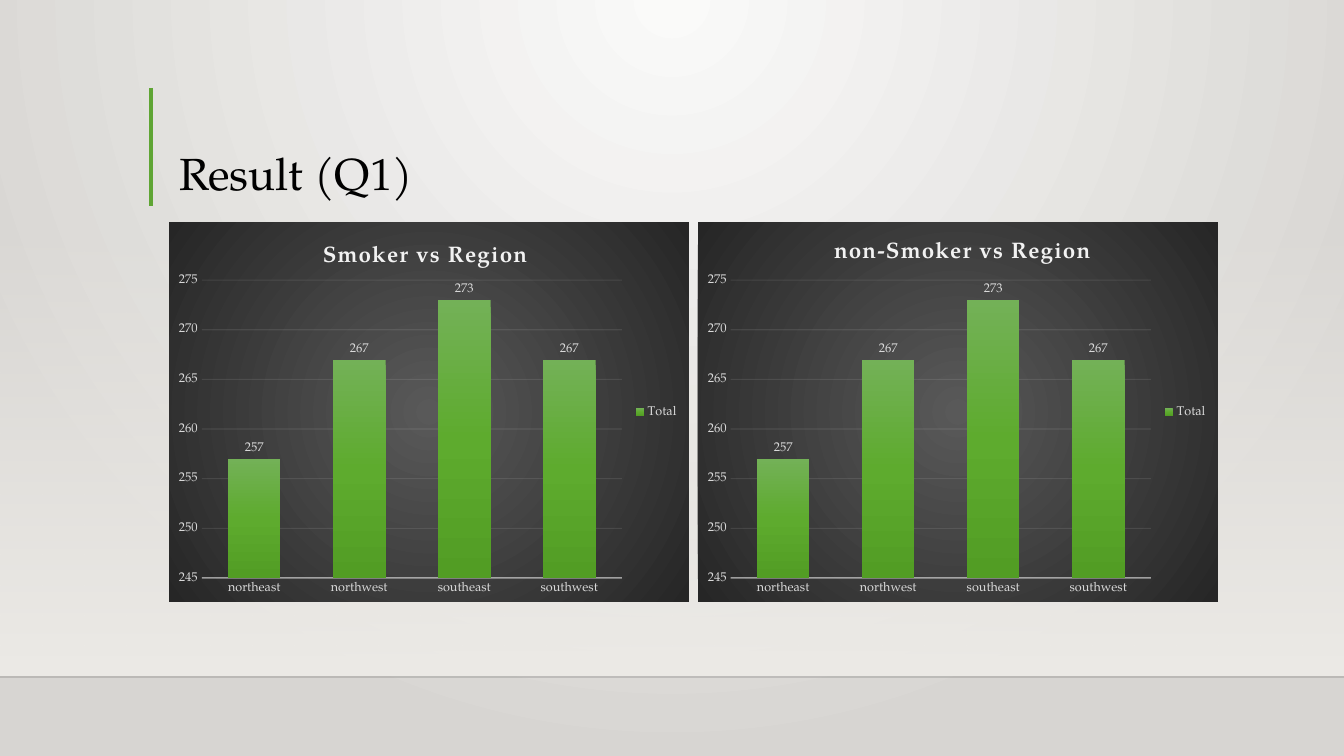
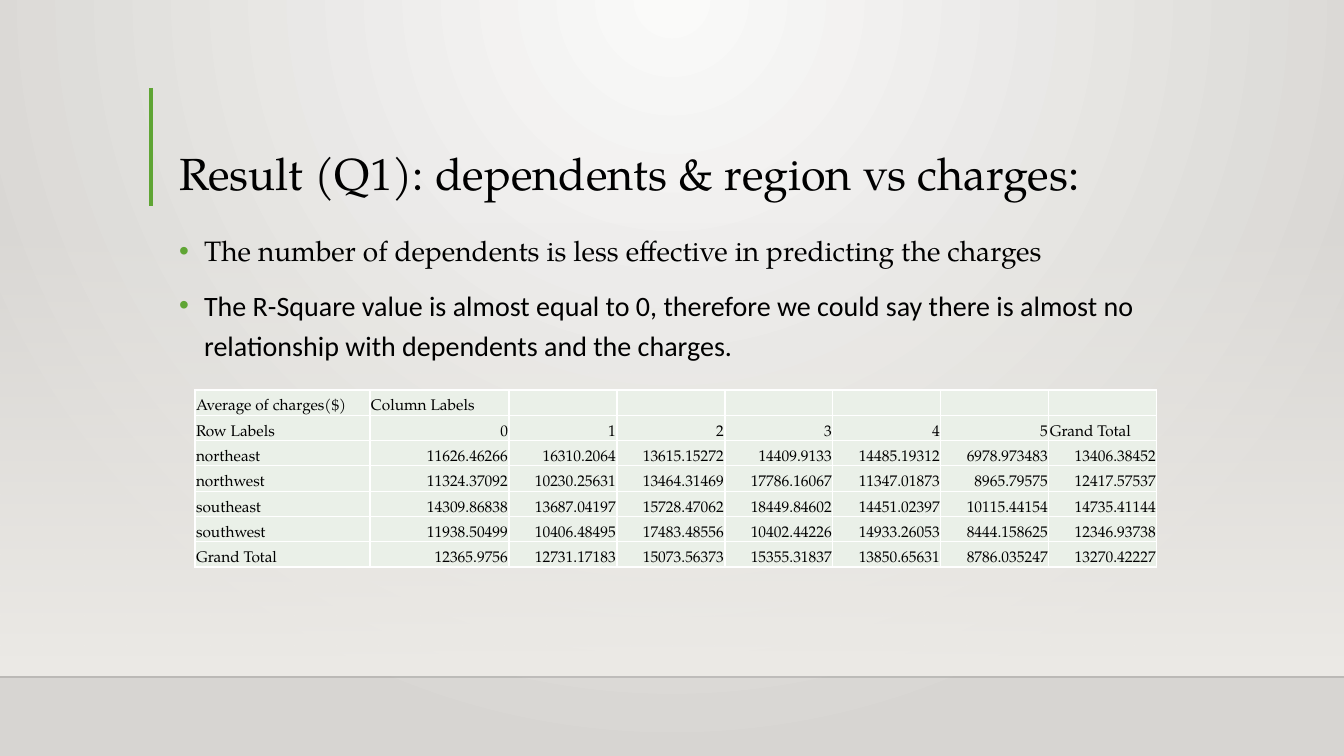
from dataclasses import dataclass
from typing import Any, NamedTuple

from lxml.etree import SubElement
from pptx import Presentation
from pptx.chart.data import CategoryChartData
from pptx.dml.color import RGBColor as Rgb
from pptx.enum.chart import XL_CHART_TYPE as ChartType
from pptx.enum.chart import XL_LABEL_POSITION as LabelPos
from pptx.enum.chart import XL_LEGEND_POSITION as LegendPos
from pptx.enum.chart import XL_TICK_MARK as TickMark
from pptx.enum.shapes import MSO_CONNECTOR as Connector
from pptx.enum.shapes import MSO_SHAPE as Preset
from pptx.enum.text import MSO_ANCHOR as Anchor
from pptx.enum.text import MSO_AUTO_SIZE as AutoSize
from pptx.enum.text import PP_ALIGN as Align
from pptx.oxml import parse_xml
from pptx.oxml.ns import nsdecls, qn
from pptx.util import Emu, Pt

SLIDE_W, SLIDE_H = 1344, 756
EMU_PER_PX = 12192000 / SLIDE_W


def px(length: int) -> Emu:
    return Emu(round(length * EMU_PER_PX))


class Stop(NamedTuple):
    position: int
    color: str
    alpha: int = 100


class Box(NamedTuple):
    left: int
    top: int
    width: int
    height: int

    def emu(self) -> list[Emu]:
        return [px(length) for length in self]


@dataclass(frozen=True)
class Theme:
    serif: str = "TeX Gyre Pagella"
    sans: str = "Calibri"
    ink: str = "000000"
    green: str = "5FA534"
    hairline: str = "000001"
    cell: str = "EAF0E8"
    cell_border: str = "FFFFFF"
    chart_line: str = "F2F2F2"
    chart_text: str = "D9D9D9"
    title_size: int = 32
    body_size: int = 20
    table_size: int = 11
    chart_title_size: int = 16
    chart_size: int = 9
    backdrop: tuple = (Stop(0, "FAFAF9"), Stop(100, "D7D5D2"))
    wall: tuple = (Stop(0, "EDEBE7", 0), Stop(100, "EDEBE7"))
    panel: tuple = (Stop(0, "595959"), Stop(100, "262626"))
    bar: tuple = (Stop(0, "73B157"), Stop(50, "5EAB2E"), Stop(100, "529D24"))


THEME = Theme()
DOWNWARD = '<a:lin ang="5400000" scaled="0"/>'


@dataclass(frozen=True)
class Rule:
    start: tuple[int, int]
    end: tuple[int, int]
    color: str
    weight: int
    alpha: int = 100


@dataclass(frozen=True)
class RegionChart:
    title: str
    title_at: tuple[int, int]


@dataclass(frozen=True)
class Bullet:
    text: str
    font: str


TITLE_BOX = Box(169, 89, 1049, 116)
BODY_BOX = Box(169, 222, 1049, 380)
WALL_BOX = Box(0, 222, SLIDE_W, 454)
RULES = (
    Rule((0, 677), (SLIDE_W, 677), THEME.hairline, 1, 20),
    Rule((151, 88), (151, 206), THEME.green, 3),
)
CHART_GAP = 9
CHART_W = (BODY_BOX.width - CHART_GAP) // 2
PLOT_BOX = Box(33, 58, 420, 298)
REGION_COUNTS = {"northeast": 257, "northwest": 267, "southeast": 273, "southwest": 267}
CHARTS = (
    RegionChart("Smoker vs Region", (150, 18)),
    RegionChart("non-Smoker vs Region", (132, 14)),
)
BULLETS = (
    Bullet("The number of dependents is less effective in predicting the charges", THEME.serif),
    Bullet(
        "The R-Square value is almost equal to 0, therefore we could say there is almost no "
        "relationship with dependents and the charges.",
        THEME.sans,
    ),
)
COLUMN_WIDTHS = (175, 139) + (108,) * 6
TABLE_BOX = Box(195, 390, sum(COLUMN_WIDTHS), 177)
CHARGES = (
    "Average of charges($)|Column Labels||||||",
    "Row Labels|0|1|2|3|4|5|Grand Total",
    "northeast|11626.46266|16310.2064|13615.15272|14409.9133|14485.19312|6978.973483|13406.38452",
    "northwest|11324.37092|10230.25631|13464.31469|17786.16067|11347.01873|8965.79575|12417.57537",
    "southeast|14309.86838|13687.04197|15728.47062|18449.84602|14451.02397|10115.44154|14735.41144",
    "southwest|11938.50499|10406.48495|17483.48556|10402.44226|14933.26053|8444.158625|12346.93738",
    "Grand Total|12365.9756|12731.17183|15073.56373|15355.31837|13850.65631|8786.035247|13270.42227",
)


def set_all(target: Any, values: dict[str, Any]) -> None:
    for name, value in values.items():
        setattr(target, name, value)


def style_font(font: Any, size: int, color: str, name: str = THEME.serif, bold: bool = False) -> None:
    set_all(font, {"name": name, "size": Pt(size), "bold": bold})
    font.color.rgb = Rgb.from_string(color)


def style_line(line: Any, color: str, weight: float) -> None:
    line.color.rgb = Rgb.from_string(color)
    line.width = Pt(weight)


def fade(colors: list, alpha: int) -> None:
    for color in colors:
        SubElement(color, qn("a:alpha"), val=str(alpha * 1000))


def circle(left: int, top: int, right: int, bottom: int) -> str:
    sides = {"l": left, "t": top, "r": right, "b": bottom}
    inset = " ".join(f'{side}="{share * 1000}"' for side, share in sides.items())
    return f'<a:path path="circle"><a:fillToRect {inset}/></a:path>'


def gradient(stops: tuple[Stop, ...], direction: str) -> str:
    marks = "".join(
        f'<a:gs pos="{stop.position * 1000}"><a:srgbClr val="{stop.color}">'
        f'<a:alpha val="{stop.alpha * 1000}"/></a:srgbClr></a:gs>'
        for stop in stops
    )
    return f'<a:gradFill {nsdecls("a")} rotWithShape="1"><a:gsLst>{marks}</a:gsLst>{direction}</a:gradFill>'


def swap_solid(solid: Any, stops: tuple[Stop, ...], direction: str) -> None:
    solid.getparent().replace(solid, parse_xml(gradient(stops, direction)))


def draw_wall(slide: Any) -> Any:
    wall = slide.shapes.add_shape(Preset.RECTANGLE, *WALL_BOX.emu())
    wall.shadow.inherit = False
    wall.line.fill.background()
    wall.fill.solid()
    swap_solid(wall.element.spPr.find(qn("a:solidFill")), THEME.wall, DOWNWARD)
    return wall


def draw_rule(slide: Any, rule: Rule) -> Any:
    ends = [px(length) for length in rule.start + rule.end]
    connector = slide.shapes.add_connector(Connector.STRAIGHT, *ends)
    style_line(connector.line, rule.color, rule.weight)
    fade(connector.element.xpath(".//a:ln//a:srgbClr"), rule.alpha)
    SubElement(connector.element.spPr, qn("a:effectLst"))
    return connector


def dress_master(master: Any, slide: Any) -> None:
    master.background.fill.solid()
    solid = master.element.xpath("./p:cSld/p:bg/p:bgPr/a:solidFill")[0]
    swap_solid(solid, THEME.backdrop, circle(43, 0, 43, 100))
    scenery = [draw_wall(slide)] + [draw_rule(slide, rule) for rule in RULES]
    for order, part in enumerate(scenery):
        part.element.xpath("./*/p:cNvPr")[0].set("id", str(100 + order))
        master.shapes.element.insert(2 + order, part.element)


def place(shape: Any, box: Box) -> None:
    set_all(shape, dict(zip(("left", "top", "width", "height"), box.emu())))


def write_title(slide: Any, text: str) -> None:
    title = slide.shapes.title
    place(title, TITLE_BOX)
    frame = title.text_frame
    frame.text = text
    set_all(frame, {"word_wrap": True, "auto_size": AutoSize.NONE, "vertical_anchor": Anchor.BOTTOM})
    heading = frame.paragraphs[0]
    set_all(heading, {"alignment": Align.LEFT, "line_spacing": 0.9})
    style_font(heading.runs[0].font, THEME.title_size, THEME.ink)


def write_bullets(slide: Any, bullets: tuple[Bullet, ...]) -> None:
    body = slide.placeholders[1]
    place(body, BODY_BOX)
    frame = body.text_frame
    frame.text = "\n".join(bullet.text for bullet in bullets)
    set_all(frame, {"word_wrap": True, "auto_size": AutoSize.NONE, "vertical_anchor": Anchor.TOP})
    for point, bullet in zip(frame.paragraphs, bullets):
        set_all(point, {"alignment": Align.LEFT, "line_spacing": 1.2, "space_before": Pt(10)})
        style_font(point.runs[0].font, THEME.body_size, THEME.ink, bullet.font)
        properties = point.runs[0].font and point._p.get_or_add_pPr()
        set_indent = {"marL": px(25), "indent": -px(25)}
        for name, value in set_indent.items():
            properties.set(name, str(value))
        SubElement(SubElement(properties, qn("a:buClr")), qn("a:srgbClr"), val=THEME.green)
        SubElement(properties, qn("a:buFont"), typeface="Arial")
        SubElement(properties, qn("a:buChar"), char="•")


def set_layout(parent: Any, index: int, values: dict[str, Any]) -> None:
    for old in parent.findall(qn("c:layout")):
        parent.remove(old)
    layout = parse_xml(f'<c:layout {nsdecls("c")}><c:manualLayout/></c:layout>')
    for name, value in values.items():
        SubElement(layout[0], qn(f"c:{name}"), val=str(value))
    parent.insert(index, layout)


def draw_chart(slide: Any, item: RegionChart, box: Box) -> None:
    counts = CategoryChartData()
    counts.categories = list(REGION_COUNTS)
    counts.add_series("Total", list(REGION_COUNTS.values()))
    chart = slide.shapes.add_chart(ChartType.COLUMN_CLUSTERED, *box.emu(), counts).chart
    style_font(chart.font, THEME.chart_size, THEME.chart_text)
    set_all(chart, {"has_title": True, "has_legend": True})
    set_all(chart.legend, {"position": LegendPos.RIGHT, "include_in_layout": False})

    heading = chart.chart_title.text_frame
    heading.text = item.title
    style_font(heading.paragraphs[0].runs[0].font, THEME.chart_title_size, THEME.chart_line, bold=True)
    root = chart.element
    root.xpath(".//c:title//a:r/a:rPr")[0].set("spc", "100")
    left, top = item.title_at
    edges = {"xMode": "edge", "yMode": "edge"}
    title_spot = {"x": round(left / box.width, 3), "y": round(top / box.height, 3)}
    set_layout(chart.chart_title.element, 1, edges | title_spot)
    shares = [round(part / whole, 3) for part, whole in zip(PLOT_BOX, box[2:] * 2)]
    plot_spot = {"layoutTarget": "inner"} | edges | dict(zip("xywh", shares))
    set_layout(root.xpath(".//c:plotArea")[0], 0, plot_spot)

    regions, scale = chart.category_axis, chart.value_axis
    for axis in (regions, scale):
        set_all(axis, {"major_tick_mark": TickMark.NONE, "minor_tick_mark": TickMark.NONE})
        style_font(axis.tick_labels.font, THEME.chart_size, THEME.chart_text)
    set_all(scale, {"minimum_scale": 245, "maximum_scale": 275, "major_unit": 5, "has_major_gridlines": True})
    scale.format.line.fill.background()
    style_line(regions.format.line, THEME.chart_line, 1)
    style_line(scale.major_gridlines.format.line, THEME.chart_line, 0.75)
    fade(root.xpath(".//c:catAx/c:spPr/a:ln//a:srgbClr"), 54)
    fade(root.xpath(".//c:majorGridlines//a:srgbClr"), 10)

    plot = chart.plots[0]
    set_all(plot, {"gap_width": 100, "overlap": -24, "vary_by_categories": False, "has_data_labels": True})
    set_all(plot.data_labels, {"show_value": True, "position": LabelPos.OUTSIDE_END})
    style_font(plot.data_labels.font, THEME.chart_size, THEME.chart_text)
    plot.series[0].format.fill.solid()
    swap_solid(root.xpath(".//c:ser/c:spPr/a:solidFill")[0], THEME.bar, DOWNWARD)
    panel = gradient(THEME.panel, circle(50, 50, 50, 50))
    root.find(qn("c:chart")).addnext(
        parse_xml(f'<c:spPr {nsdecls("c", "a")}>{panel}<a:ln><a:noFill/></a:ln></c:spPr>')
    )


def fill_cell(cell: Any, text: str) -> None:
    margins = {f"margin_{side}": px(1) for side in ("left", "right", "top")}
    set_all(cell, margins | {"margin_bottom": 0, "vertical_anchor": Anchor.BOTTOM})
    entry = cell.text_frame.paragraphs[0]
    if text:
        entry.alignment = Align.RIGHT if text.replace(".", "").isdigit() else Align.LEFT
        run = entry.add_run()
        run.text = text
        style_font(run.font, THEME.table_size, THEME.ink)
    else:
        SubElement(entry._p, qn("a:endParaRPr"), sz=str(THEME.table_size * 100))
    cell.fill.solid()
    cell.fill.fore_color.rgb = Rgb.from_string(THEME.cell)
    for order, side in enumerate(("lnL", "lnR", "lnT", "lnB")):
        border = parse_xml(
            f'<a:{side} {nsdecls("a")} w="{Pt(1)}"><a:solidFill>'
            f'<a:srgbClr val="{THEME.cell_border}"/></a:solidFill></a:{side}>'
        )
        cell._tc.get_or_add_tcPr().insert(order, border)


def draw_charges(slide: Any) -> None:
    table = slide.shapes.add_table(len(CHARGES), len(COLUMN_WIDTHS), *TABLE_BOX.emu()).table
    set_all(table, {"first_row": False, "horz_banding": False})
    for column, width in zip(table.columns, COLUMN_WIDTHS):
        column.width = px(width)
    for row, line in zip(table.rows, CHARGES):
        row.height = px(TABLE_BOX.height) // len(CHARGES)
        for cell, text in zip(row.cells, line.split("|")):
            fill_cell(cell, text)


def main() -> None:
    deck = Presentation()
    set_all(deck, {"slide_width": px(SLIDE_W), "slide_height": px(SLIDE_H)})
    regions = deck.slides.add_slide(deck.slide_layouts[5])
    dress_master(deck.slide_master, regions)
    write_title(regions, "Result (Q1)")
    for order, item in enumerate(CHARTS):
        left = BODY_BOX.left + order * (CHART_W + CHART_GAP)
        draw_chart(regions, item, Box(left, BODY_BOX.top, CHART_W, BODY_BOX.height))

    charges = deck.slides.add_slide(deck.slide_layouts[1])
    write_title(charges, "Result (Q1): dependents & region vs charges:")
    write_bullets(charges, BULLETS)
    draw_charges(charges)
    deck.save("out.pptx")


if __name__ == "__main__":
    main()
